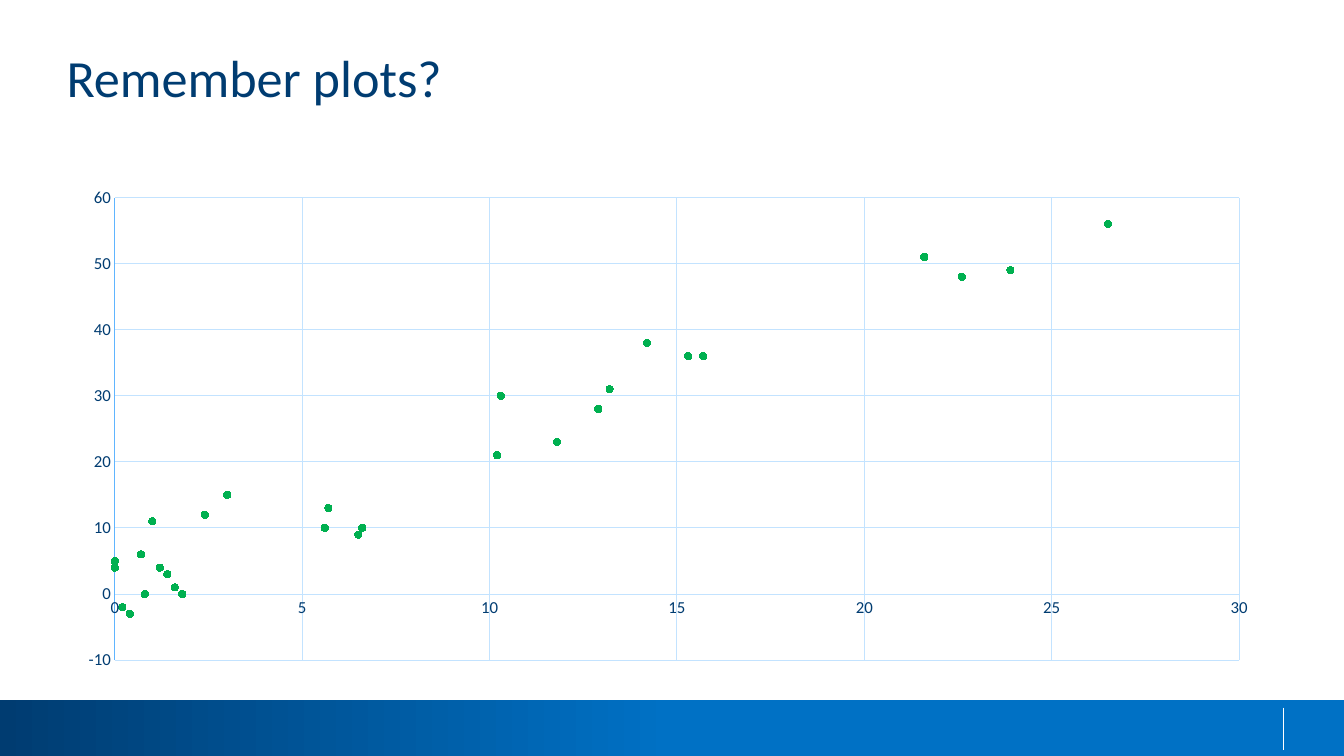
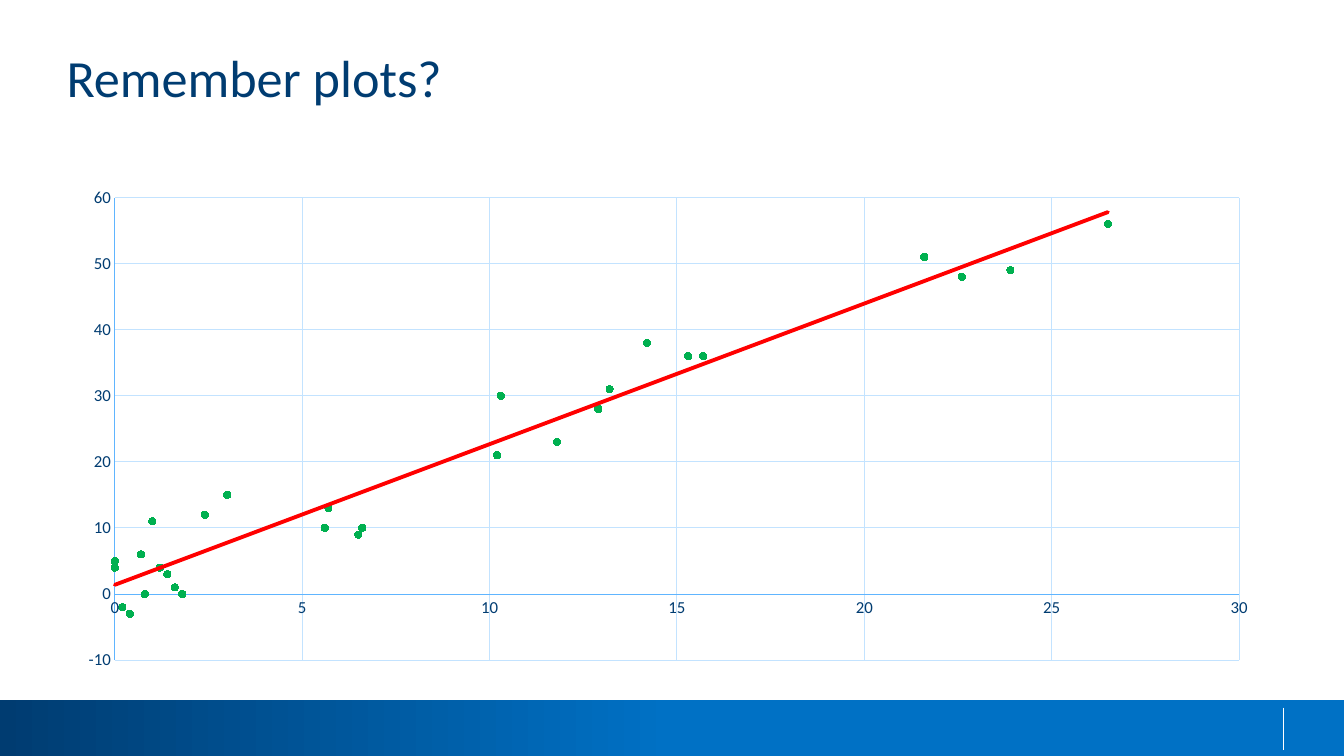
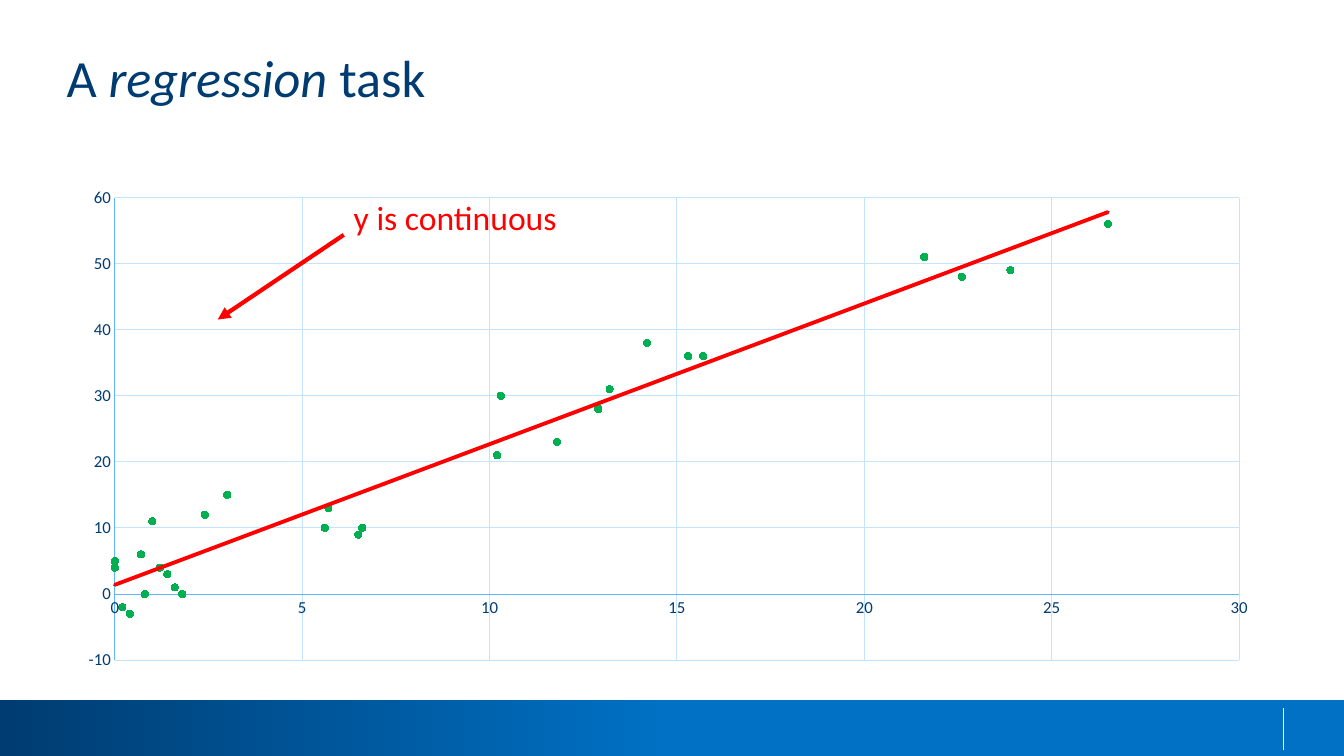
from typing import NamedTuple

from pptx import Presentation
from pptx.chart.data import XyChartData
from pptx.dml.color import RGBColor
from pptx.enum.chart import XL_CHART_TYPE as ChartType
from pptx.enum.chart import XL_MARKER_STYLE as MarkerStyle
from pptx.enum.chart import XL_TICK_MARK as TickMark
from pptx.enum.shapes import MSO_CONNECTOR as Connector
from pptx.enum.shapes import MSO_SHAPE as Shape
from pptx.enum.text import MSO_ANCHOR as Anchor
from pptx.enum.text import MSO_AUTO_SIZE as AutoSize
from pptx.enum.text import PP_ALIGN as Align
from pptx.oxml import parse_xml
from pptx.oxml.ns import nsdecls
from pptx.util import Inches, Pt

NAVY = RGBColor(0x00, 0x3C, 0x71)
BLUE = RGBColor(0x00, 0x71, 0xC5)
SKY = RGBColor(0x60, 0xB5, 0xFF)
PALE = RGBColor(0xC3, 0xE3, 0xFF)
GREEN = RGBColor(0x00, 0xB0, 0x50)
RED = RGBColor(0xFF, 0x00, 0x00)
WHITE = RGBColor(0xFF, 0xFF, 0xFF)
FONT = "Calibri"

SLIDE_WIDTH, SLIDE_HEIGHT = Inches(13.33), Inches(7.5)
COLUMN, ROW = SLIDE_WIDTH / 100, SLIDE_HEIGHT / 100

X_VALUES = [1.2, 6.5, 13.2, 15.3, 0, 1.6, 5.7, 0.8, 11.8, 22.6, 0, 23.9, 1.4, 10.3, 3,
            26.5, 1.8, 14.2, 1, 21.6, 2.4, 0.7, 0.4, 5.6, 12.9, 0.2, 6.6, 10.2, 15.7]
Y_VALUES = [4, 9, 31, 36, 5, 1, 13, 0, 23, 48, 4, 49, 3, 30, 15,
            56, 0, 38, 11, 51, 12, 6, -3, 10, 28, -2, 10, 21, 36]


class Box(NamedTuple):
    """A rectangle in slide units."""
    left: int
    top: int
    width: int
    height: int

    def point(self, columns, rows):
        """Return the point that many columns and rows from the corner."""
        return int(self.left + columns * COLUMN), int(self.top + rows * ROW)

    def inner(self, columns, rows, width, height):
        """Return a box placed on the grid relative to this one."""
        return Box(*self.point(columns, rows), int(width * COLUMN), int(height * ROW))


PAGE = Box(0, 0, SLIDE_WIDTH, SLIDE_HEIGHT)
TITLE_BOX = PAGE.inner(4.95, 6, 90, 17)
CHART_BOX = PAGE.inner(4.95, 23.47, 89.95, 66.53)
BAND_BOX = PAGE.inner(0, 92.6, 100, 7.4)


def write_text(frame, runs, size, color, margin=None):
    """Write (text, italic) runs into the first paragraph of a frame."""
    frame.word_wrap = True
    frame.vertical_anchor = Anchor.TOP
    if margin is not None:
        frame.margin_left = frame.margin_right = margin
        frame.margin_top = frame.margin_bottom = margin
    paragraph = frame.paragraphs[0]
    paragraph.alignment = Align.LEFT
    for text, italic in runs:
        run = paragraph.add_run()
        run.text = text
        run.font.name, run.font.size = FONT, Pt(size)
        run.font.italic = italic
        run.font.color.rgb = color


def add_line(slide, start, end, color, width, arrow=False):
    """Draw a straight line, with an arrowhead at its end if asked."""
    line = slide.shapes.add_connector(Connector.STRAIGHT, *start, *end)
    line.line.color.rgb, line.line.width = color, Pt(width)
    line.element.spPr.append(parse_xml(f'<a:effectLst {nsdecls("a")}/>'))
    if arrow:
        line.line._get_or_add_ln().append(
            parse_xml(f'<a:tailEnd {nsdecls("a")} type="triangle"/>'))
    return line


def add_footer_band(slide, box):
    """Draw the gradient band with its divider on the slide's layout."""
    band = slide.shapes.add_shape(Shape.RECTANGLE, *box)
    band.shadow.inherit = False
    band.line.fill.background()
    band.fill.gradient()
    band.fill.gradient_angle = 0
    for stop, color, position in zip(band.fill.gradient_stops, (NAVY, BLUE), (0, 0.5)):
        stop.color.rgb, stop.position = color, position
    divider = add_line(slide, box.point(95.5, 1), box.point(95.5, 6.6), WHITE, 0.75)
    for shape in (band, divider):
        slide.slide_layout.shapes.element.append(shape.element)


def format_axis(axis, low, high, step, color):
    """Set the scale, labels and lines of one axis."""
    axis.minimum_scale, axis.maximum_scale, axis.major_unit = low, high, step
    axis.major_tick_mark = axis.minor_tick_mark = TickMark.NONE
    axis.has_major_gridlines = True
    for line, line_color in ((axis.format.line, color),
                             (axis.major_gridlines.format.line, PALE)):
        line.color.rgb, line.width = line_color, Pt(0.75)
    labels = axis.tick_labels
    labels.number_format, labels.number_format_is_linked = "General", False
    labels.font.name, labels.font.size = FONT, Pt(12)
    labels.font.color.rgb = NAVY


def set_plot_area(chart, left, top, width, height):
    """Fix the inner plot area as shares of the chart."""
    plot_area = chart.element.xpath(".//c:plotArea")[0]
    for layout in plot_area.xpath("./c:layout"):
        plot_area.remove(layout)
    shares = "".join(f'<c:{name} val="{share}"/>' for name, share in
                     zip("xywh", (left, top, width, height)))
    plot_area.insert(0, parse_xml(
        f'<c:layout {nsdecls("c")}><c:manualLayout><c:layoutTarget val="inner"/>'
        f'<c:xMode val="edge"/><c:yMode val="edge"/>{shares}'
        '</c:manualLayout></c:layout>'))


def add_trend_line(chart):
    """Add a red linear trend line to the series."""
    chart.element.xpath(".//c:ser/c:xVal")[0].addprevious(parse_xml(
        f'<c:trendline {nsdecls("c", "a")}><c:spPr><a:ln w="{Pt(2.75)}" cap="rnd">'
        f'<a:solidFill><a:srgbClr val="{RED}"/></a:solidFill></a:ln></c:spPr>'
        '<c:trendlineType val="linear"/><c:dispRSqr val="0"/><c:dispEq val="0"/>'
        '</c:trendline>'))


def add_scatter(slide, box, trend):
    """Place the scatter chart in its box."""
    data = XyChartData()
    series = data.add_series("Series 1")
    for x, y in zip(X_VALUES, Y_VALUES):
        series.add_data_point(x, y)
    chart = slide.shapes.add_chart(ChartType.XY_SCATTER, *box, data).chart
    chart.has_legend = chart.has_title = False
    chart.font.name, chart.font.size = FONT, Pt(10)
    plot = chart.plots[0]
    plot.vary_by_categories = False
    marker = plot.series[0].marker
    marker.style, marker.size = MarkerStyle.CIRCLE, 5
    marker.format.fill.solid()
    marker.format.fill.fore_color.rgb = GREEN
    marker.format.line.color.rgb = GREEN
    format_axis(chart.category_axis, 0, 30, 5, SKY if trend else PALE)
    format_axis(chart.value_axis, -10, 60, 10, SKY)
    set_plot_area(chart, 0.04, 0.04, 0.93, 0.92)
    if trend:
        add_trend_line(chart)


def add_callout(slide, box, text):
    """Label the vertical axis of the chart in the box with an arrow."""
    add_line(slide, box.point(20.63, 7.6), box.point(11.25, 18.8), RED, 3, arrow=True)
    label = slide.shapes.add_textbox(*box.inner(20.63, 1.87, 24.38, 6.67))
    write_text(label.text_frame, [(text, False)], size=24, color=RED)


def add_chart_slide(presentation, title_runs, trend=False, callout=None):
    """Add one slide with a title, the scatter chart and an optional callout."""
    slide = presentation.slides.add_slide(presentation.slide_layouts[5])
    title = slide.shapes.title
    title.left, title.top, title.width, title.height = TITLE_BOX
    title.text_frame.auto_size = AutoSize.NONE
    write_text(title.text_frame, title_runs, size=37.3, color=NAVY, margin=0)
    add_scatter(slide, CHART_BOX, trend)
    if callout:
        add_callout(slide, CHART_BOX, callout)
    return slide


def main():
    """Build and save the presentation."""
    presentation = Presentation()
    presentation.slide_width, presentation.slide_height = SLIDE_WIDTH, SLIDE_HEIGHT
    question = [("Remember plots?", False)]
    first_slide = add_chart_slide(presentation, question)
    add_footer_band(first_slide, BAND_BOX)
    add_chart_slide(presentation, question, trend=True)
    add_chart_slide(presentation, [("A ", False), ("regression ", True), ("task", False)],
                    trend=True, callout="y is continuous")
    presentation.save("out.pptx")


if __name__ == "__main__":
    main()
